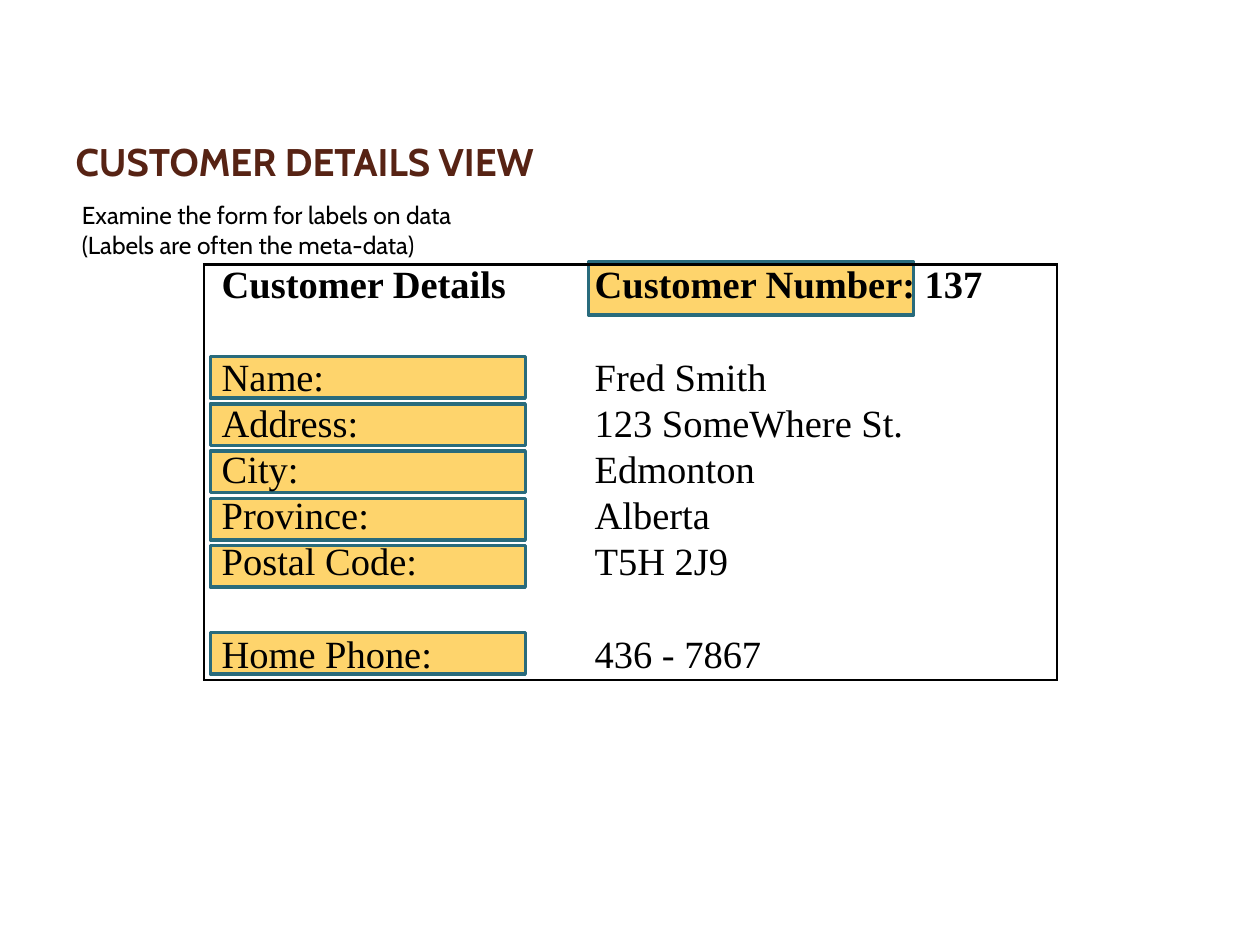
import pptx
import pptx.util
import pptx.dml.color
import pptx.enum.shapes
import pptx.enum.text
import pptx.oxml.ns
import lxml.etree

Inches, Pt = pptx.util.Inches, pptx.util.Pt
COLORS = {"title": "572314", "text": "000000", "highlight": "FED46C", "outline": "296B7C"}
HEADING_FONT, FORM_FONT = "Cabin", "Times New Roman"
PLAIN_TABLE_STYLE = "{2D5ABB26-0587-4C30-8999-92F81FD0307C}"

# Form grid, in inches
FORM_LEFT, FORM_TOP, ROW_HEIGHT = 1.62, 2.1, 3.3 / 9
COLUMN_WIDTHS = (2.96, 3.81)
LABEL_LEFT, LABEL_TOP, LABEL_PITCH = 1.67, 2.83, 0.375
LABEL_SIZE = (2.5, 0.33)
ADDRESS_LABELS = 5

FORM_ROWS = [
    ("Customer Details", "Customer Number: 137"),
    ("", ""),
    ("Name:", "Fred Smith"),
    ("Address:", "123 SomeWhere St."),
    ("City:", "Edmonton"),
    ("Province:", "Alberta"),
    ("Postal Code:", "T5H 2J9"),
    ("", ""),
    ("Home Phone:", "436 - 7867"),
]


def rgb(name):
    return pptx.dml.color.RGBColor.from_string(COLORS[name])


def write_text(para, text, *, font, size, color="text", bold=False):
    span = para.add_run()
    span.text = text
    span.font.name, span.font.size = font, Pt(size)
    span.font.bold = bold
    span.font.color.rgb = rgb(color)


def place(box, left, top, width, height):
    box.left, box.top = Inches(left), Inches(top)
    box.width, box.height = Inches(width), Inches(height)


def add_title(page, text):
    title = page.shapes.title
    place(title, 0.5, 0.24, 4.17, 1.27)
    frame = title.text_frame
    frame.auto_size = pptx.enum.text.MSO_AUTO_SIZE.NONE
    frame.vertical_anchor = pptx.enum.text.MSO_ANCHOR.BOTTOM
    para = frame.paragraphs[0]
    para.alignment = pptx.enum.text.PP_ALIGN.LEFT
    para.line_spacing = Pt(20)
    write_text(para, text, font=HEADING_FONT, size=22, color="title", bold=True)


def add_instructions(page, lines):
    body = page.placeholders[1]
    place(body, 0.5, 1.54, 4.17, 0.76)
    frame = body.text_frame
    frame.auto_size = pptx.enum.text.MSO_AUTO_SIZE.NONE
    for index, line in enumerate(lines):
        para = frame.add_paragraph() if index else frame.paragraphs[0]
        para.space_before = Pt(0)
        properties = para._p.get_or_add_pPr()
        properties.set("marL", str(Inches(0.05)))
        properties.set("indent", "0")
        lxml.etree.SubElement(properties, pptx.oxml.ns.qn("a:buNone"))
        write_text(para, line, font=HEADING_FONT, size=14)


def add_highlight(page, left, top, width, height):
    box = page.shapes.add_shape(
        pptx.enum.shapes.MSO_SHAPE.RECTANGLE,
        Inches(left), Inches(top), Inches(width), Inches(height))
    box.shadow.inherit = False
    box.fill.solid()
    box.fill.fore_color.rgb = rgb("highlight")
    box.line.color.rgb = rgb("outline")
    box.line.width = Pt(2)


def set_borders(cell, sides):
    """Draw the given sides, listed in the order L, R, T, B."""
    properties = cell._tc.get_or_add_tcPr()
    for position, side in enumerate(sides):
        line = lxml.etree.Element(pptx.oxml.ns.qn("a:ln" + side), w=str(Pt(1.5)))
        fill = lxml.etree.SubElement(line, pptx.oxml.ns.qn("a:solidFill"))
        lxml.etree.SubElement(fill, pptx.oxml.ns.qn("a:srgbClr"), val=COLORS["text"])
        properties.insert(position, line)


def add_form(page, rows):
    frame = page.shapes.add_table(
        len(rows), len(COLUMN_WIDTHS), Inches(FORM_LEFT), Inches(FORM_TOP),
        Inches(sum(COLUMN_WIDTHS)), Inches(ROW_HEIGHT * len(rows)))
    table = frame.table
    table.first_row = table.horz_banding = False
    table._tbl.tblPr.find(pptx.oxml.ns.qn("a:tableStyleId")).text = PLAIN_TABLE_STYLE
    for column, width in zip(table.columns, COLUMN_WIDTHS):
        column.width = Inches(width)
    last = len(rows) - 1
    for row, texts in enumerate(rows):
        for column, text in enumerate(texts):
            cell = table.cell(row, column)
            cell.margin_left = cell.margin_right = Inches(0.14)
            cell.margin_top = cell.margin_bottom = 0
            cell.fill.background()
            if text:
                write_text(cell.text_frame.paragraphs[0], text,
                           font=FORM_FONT, size=22, bold=row == 0)
            # Only the outer edge of the form is ruled
            sides = ["R" if column else "L"]
            sides += ["T"] * (row == 0) + ["B"] * (row == last)
            set_borders(cell, sides)


def main():
    deck = pptx.Presentation()
    deck.slide_width, deck.slide_height = Inches(10), Inches(7.5)
    page = deck.slides.add_slide(deck.slide_layouts[1])

    # Heading and instructions
    add_title(page, "CUSTOMER DETAILS VIEW")
    add_instructions(page, ["Examine the form for labels on data",
                            "(Labels are often the meta-data)"])

    # Highlights behind the form labels
    add_highlight(page, 4.67, 2.08, 2.58, 0.42)
    label_tops = [LABEL_TOP + index * LABEL_PITCH for index in range(ADDRESS_LABELS)]
    for top in label_tops + [5.02]:
        add_highlight(page, LABEL_LEFT, top, *LABEL_SIZE)

    # Customer form
    add_form(page, FORM_ROWS)
    deck.save("out.pptx")


if __name__ == "__main__":
    main()
